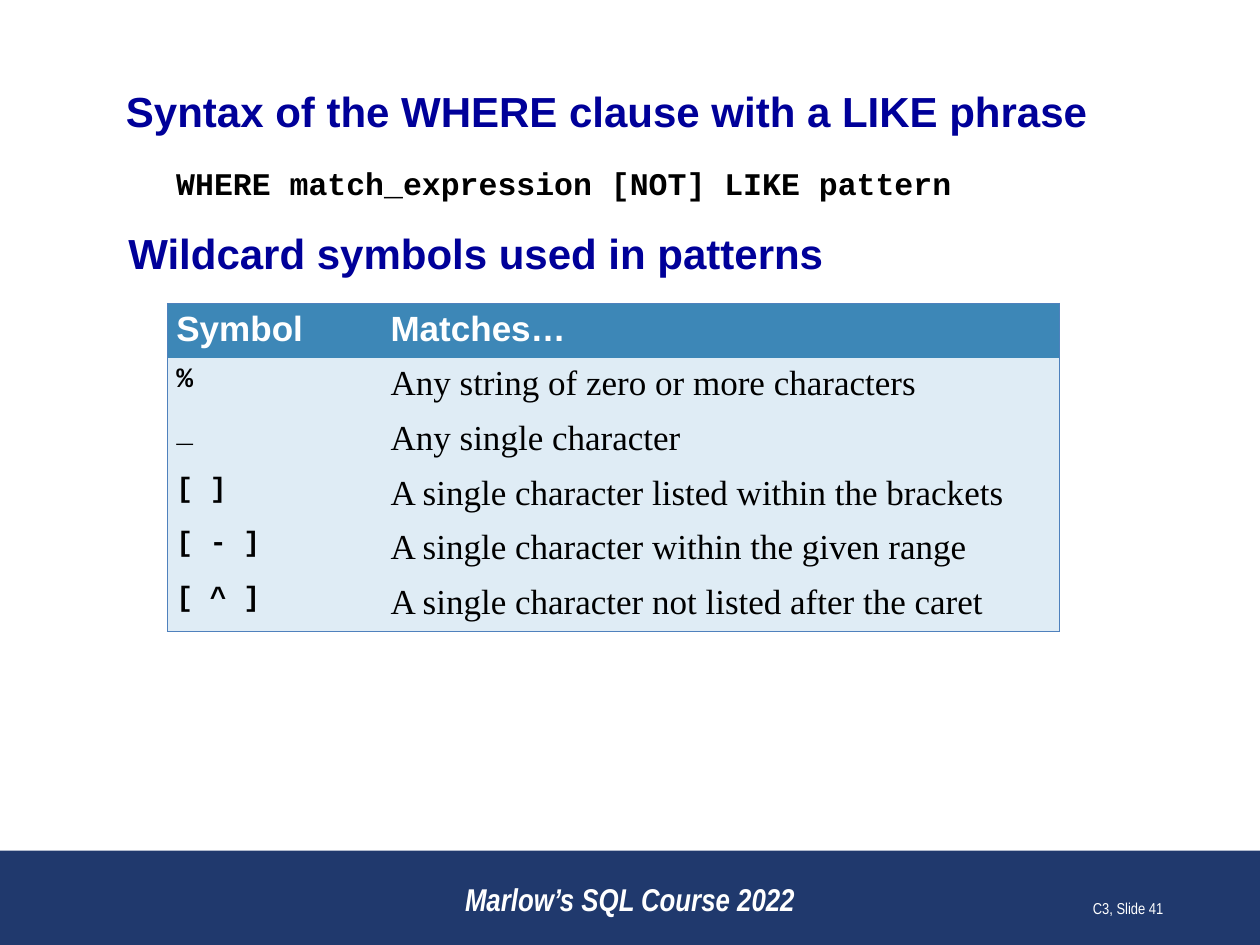
from lxml import etree
from pptx import Presentation
from pptx.dml.color import RGBColor
from pptx.enum.shapes import MSO_SHAPE
from pptx.enum.text import MSO_ANCHOR, PP_ALIGN
from pptx.oxml.ns import qn
from pptx.util import Inches, Pt

RECT = MSO_SHAPE.RECTANGLE
TOP, MIDDLE, BOTTOM = MSO_ANCHOR.TOP, MSO_ANCHOR.MIDDLE, MSO_ANCHOR.BOTTOM
LEFT, CENTER, RIGHT = PP_ALIGN.LEFT, PP_ALIGN.CENTER, PP_ALIGN.RIGHT

NAVY = RGBColor(0x20, 0x39, 0x6D)
HEADING = RGBColor(0x00, 0x00, 0x99)
BLACK = RGBColor(0, 0, 0)
WHITE = RGBColor(0xFF, 0xFF, 0xFF)
HEADER_FILL = RGBColor(0x3D, 0x87, 0xB7)
BODY_FILL = RGBColor(0xDF, 0xEC, 0xF5)
BORDER = RGBColor(0x4F, 0x81, 0xBD)
NO_STYLE = "{2D5ABB26-0587-4C30-8999-92F81FD0307C}"

prs = Presentation()
prs.slide_width, prs.slide_height = Inches(10), Inches(7.5)
W, H = prs.slide_width, prs.slide_height
s = prs.slides.add_slide(prs.slide_layouts[6])


def add_run(p, text, font, size, color, bold=False, italic=False):
    r = p.add_run()
    r.text = text
    r.font.name, r.font.size = font, Pt(size)
    r.font.bold, r.font.italic = bold, italic
    r.font.color.rgb = color


def add_box(left, top, width, height, anchor=TOP, align=LEFT):
    tf = s.shapes.add_textbox(Inches(left), Inches(top), Inches(width), Inches(height)).text_frame
    tf.word_wrap = True
    tf.vertical_anchor = anchor
    tf.paragraphs[0].alignment = align
    return tf


# Footer band: bottom tenth of the slide
band = s.shapes.add_shape(RECT, 0, int(H * 0.9), W, int(H * 0.1))
band.shadow.inherit = False
band.fill.solid()
band.fill.fore_color.rgb = NAVY
band.line.fill.background()

# Title
tf = add_box(1, 0.68, 8, 0.4, MIDDLE)
tf.margin_left = tf.margin_right = tf.margin_top = tf.margin_bottom = 0
add_run(tf.paragraphs[0], "Syntax of the WHERE clause with a LIKE phrase", "Arial", 24, HEADING, True)

# Syntax line and second heading
tf = add_box(0.92, 1.25, 8.08, 1)
p = tf.paragraphs[0]
p._p.get_or_add_pPr().set("marL", str(Inches(0.38)))
add_run(p, "WHERE match_expression [NOT] LIKE pattern", "Courier New", 18, BLACK, True)
p = tf.add_paragraph()
p.space_before, p.space_after = Pt(15), Pt(6)
add_run(p, "Wildcard symbols used in patterns", "Arial", 24, HEADING, True)

# Wildcard table
rows = [
    ("Symbol", "Matches…"),
    ("%", "Any string of zero or more characters"),
    ("_", "Any single character"),
    ("[ ]", "A single character listed within the brackets"),
    ("[ - ]", "A single character within the given range"),
    ("[ ^ ]", "A single character not listed after the caret"),
]
col_widths = [1.7, 5.38]
row_height = 0.41
header_style = ("Arial", 20, WHITE, True)
column_styles = [("Courier New", 16, BLACK, True), ("Times New Roman", 20, BLACK)]

frame = s.shapes.add_table(len(rows), len(col_widths), Inches(1.33), Inches(2.41),
                           Inches(sum(col_widths)), Inches(row_height * len(rows)))
table = frame.table
table.horz_banding = False
table._tbl.tblPr.find(qn("a:tableStyleId")).text = NO_STYLE
for column, width in zip(table.columns, col_widths):
    column.width = Inches(width)

for i, row in enumerate(rows):
    table.rows[i].height = Inches(row_height)
    for j, text in enumerate(row):
        cell = table.cell(i, j)
        cell.margin_left = cell.margin_right = Inches(0.07)
        cell.margin_top = cell.margin_bottom = Inches(0.05)
        cell.fill.solid()
        cell.fill.fore_color.rgb = BODY_FILL if i else HEADER_FILL
        p = cell.text_frame.paragraphs[0]
        p.space_after = Pt(6)
        add_run(p, text, *(column_styles[j] if i else header_style))

        # Border on the outer edges only, placed ahead of the fill
        edges = [("a:lnL", j == 0), ("a:lnR", j == len(row) - 1),
                 ("a:lnT", i == 0), ("a:lnB", i == len(rows) - 1)]
        outer = [tag for tag, is_outer in edges if is_outer]
        for k, tag in enumerate(outer):
            ln = etree.Element(qn(tag), w=str(Pt(1)))
            fill = etree.SubElement(ln, qn("a:solidFill"))
            etree.SubElement(fill, qn("a:srgbClr"), val=str(BORDER))
            cell._tc.tcPr.insert(k, ln)

# Footer text
tf = add_box(3, 6.83, 4, 0.5, BOTTOM, CENTER)
add_run(tf.paragraphs[0], "Marlow’s SQL Course 2022", "Arial Narrow", 18, WHITE, True, True)
tf = add_box(7.25, 6.83, 2.08, 0.5, BOTTOM, RIGHT)
add_run(tf.paragraphs[0], "C3, Slide 41", "Arial Narrow", 9, WHITE)

prs.save("out.pptx")
